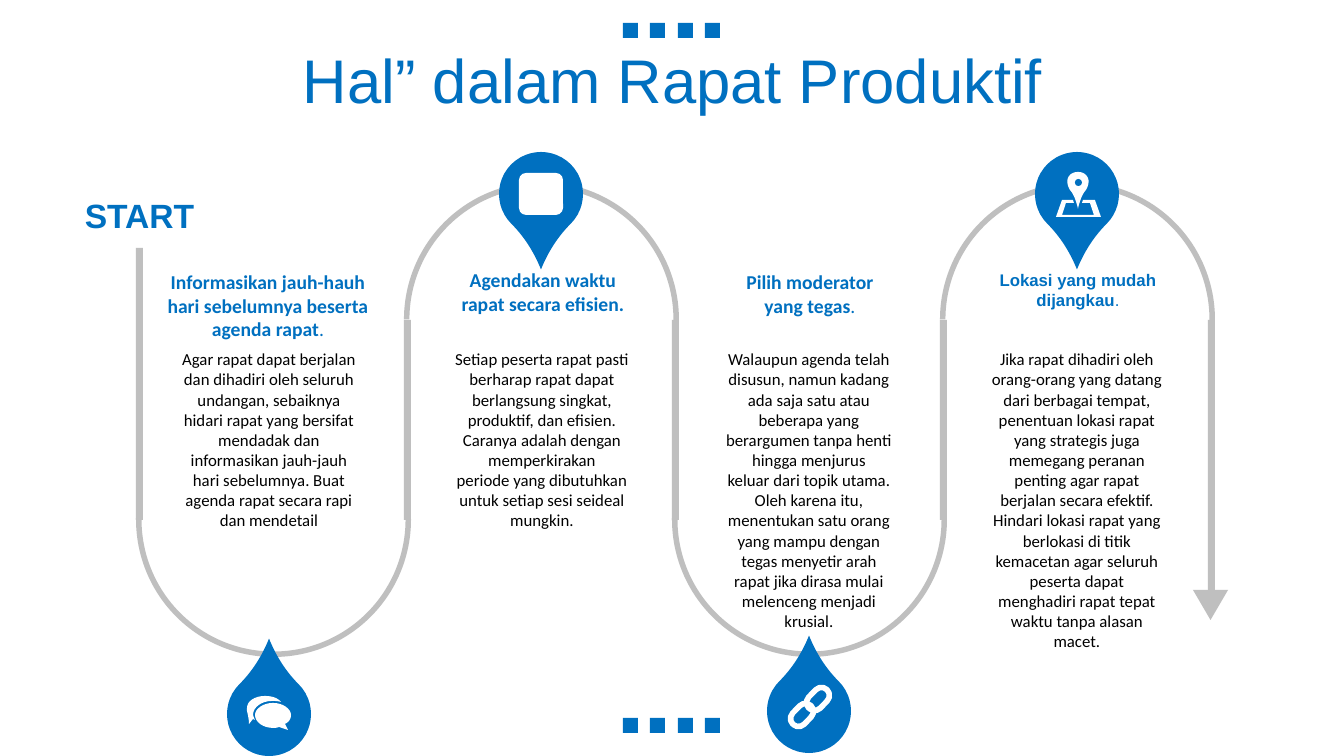
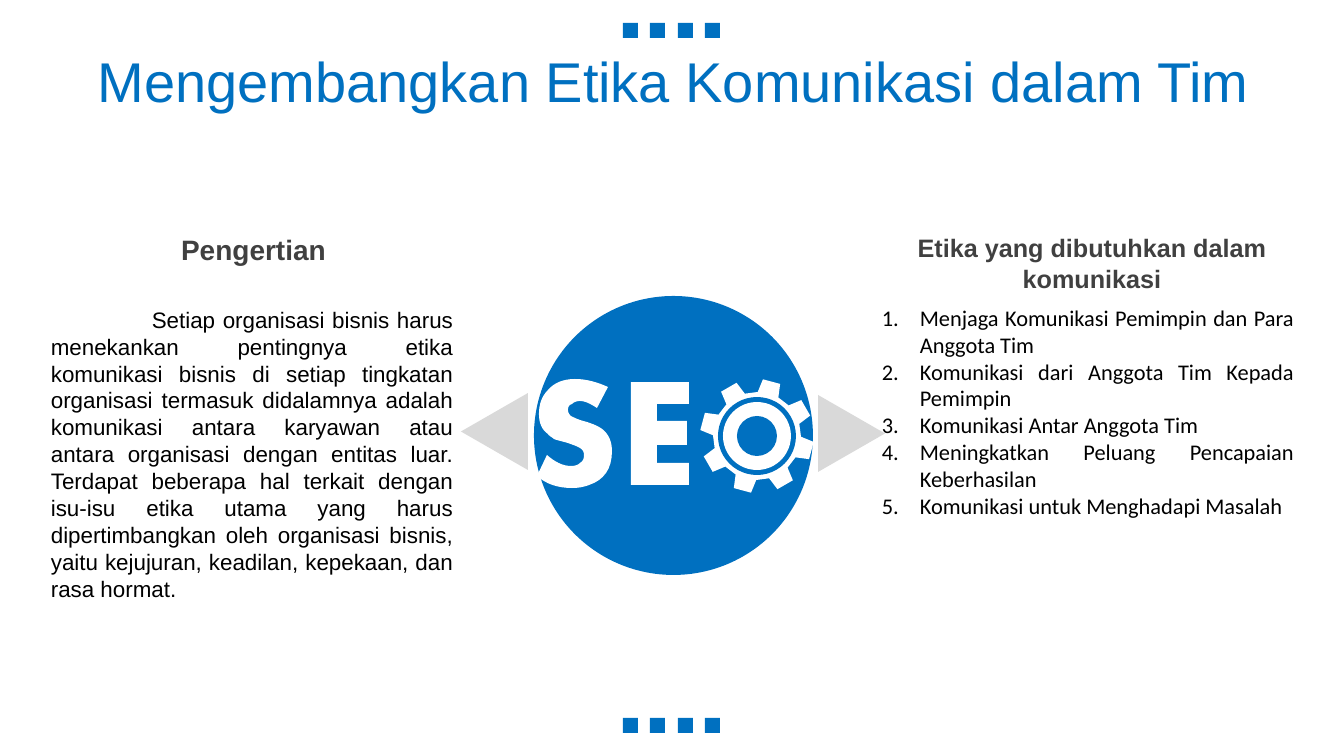
import math
from lxml import etree
from pptx import Presentation, util as u
from pptx.dml.color import RGBColor
from pptx.enum import shapes, text as t
from pptx.oxml.ns import qn

PX = u.Inches(1) / 100.8
BLUE = RGBColor(0x00, 0x70, 0xC0)
GREY = RGBColor(0xBF, 0xBF, 0xBF)
PALE = RGBColor(0xD9, 0xD9, 0xD9)
DARK = RGBColor(0x40, 0x40, 0x40)
BLACK = RGBColor(0, 0, 0)
WHITE = RGBColor(255, 255, 255)
G = shapes.MSO_SHAPE
CENTER, JUSTIFY = t.PP_ALIGN.CENTER, t.PP_ALIGN.JUSTIFY
TOP, MIDDLE = t.MSO_ANCHOR.TOP, t.MSO_ANCHOR.MIDDLE


def shape(s, kind, color, box=None, rot=0, adj=(), outline=()):
    if outline:
        points = [outline[0]]
        for seg in outline[1:]:
            if len(seg) == 2:
                points.append(seg)
                continue
            x0, y0 = points[-1]
            x1, y1, x2, y2, x3, y3 = seg
            for k in range(1, 9):
                b = k / 8
                a = 1 - b
                points.append((
                    a**3 * x0 + 3 * a * a * b * x1 + 3 * a * b * b * x2 + b**3 * x3,
                    a**3 * y0 + 3 * a * a * b * y1 + 3 * a * b * b * y2 + b**3 * y3))
        points = [(round(x * PX), round(y * PX)) for x, y in points]
        fb = s.shapes.build_freeform(*points[0])
        fb.add_line_segments(points[1:], close=True)
        sp = fb.convert_to_shape()
    else:
        sp = s.shapes.add_shape(kind, *(round(v * PX) for v in box))
    sp.shadow.inherit = False
    sp.fill.solid()
    sp.fill.fore_color.rgb = color
    sp.line.fill.background()
    sp.rotation = rot
    for k, value in enumerate(adj):
        sp.adjustments[k] = value
    return sp


def text(s, box, paragraphs, size, color=BLACK, font="Calibri", bold=False, tail="",
         align=CENTER, anchor=TOP, spacing=None, before=None, margin=0, indent=0,
         numbered=False):
    tf = s.shapes.add_textbox(*(round(v * PX) for v in box)).text_frame
    tf.word_wrap = True
    tf.vertical_anchor = anchor
    for k, words in enumerate(paragraphs):
        p = tf.add_paragraph() if k else tf.paragraphs[0]
        p.alignment = align
        if spacing:
            p.line_spacing = spacing
        if before:
            p.space_before = u.Pt(before)
        pPr = p._p.get_or_add_pPr()
        pPr.set("marL", str(round(margin * PX)))
        pPr.set("indent", str(round(indent * PX)))
        if numbered:
            etree.SubElement(pPr, qn("a:buAutoNum"), type="arabicPeriod")
        for part, weight in ((words, bold), (tail, False)):
            if part:
                r = p.add_run()
                r.text = part
                r.font.size = u.Pt(size)
                r.font.name = font
                r.font.bold = weight
                r.font.color.rgb = color


prs = Presentation()
prs.slide_width, prs.slide_height = round(1344 * PX), round(756 * PX)

slides = []
for title, size in (("Hal” dalam Rapat Produktif", 44),
                    ("Mengembangkan Etika Komunikasi dalam Tim", 40)):
    s = prs.slides.add_slide(prs.slide_layouts[6])
    for y in (23, 718):
        for k in range(4):
            shape(s, G.RECTANGLE, BLUE, (623 + k * 55 // 2, y, 15, 15))
    text(s, (35, 44, 1276, 80), [title], size, BLUE, "Arial",
         anchor=MIDDLE, spacing=0.9, before=10)
    slides.append(s)
meeting, ethics = slides

ROAD_X, STEP, ROAD_W = 136, 268, 7
for k in range(5):
    top = 320 if k else 248
    bottom = 592 if k == 4 else 520
    shape(meeting, G.RECTANGLE, GREY, (ROAD_X + k * STEP, top, ROAD_W, bottom - top))
for k in range(4):
    up = k % 2
    shape(meeting, G.BLOCK_ARC, GREY,
          (ROAD_X + k * STEP, 182 if up else 382, STEP + ROAD_W, STEP + ROAD_W),
          rot=0 if up else 180, adj=(108, 0.36, 0.02))
for x, y, rot in ((227, 672, 315), (499, 152, 135), (767, 669, 315), (1035, 152, 135)):
    shape(meeting, G.TEAR, BLUE, (x, y, 84, 84), rot, (1.27,))
shape(meeting, G.ISOSCELES_TRIANGLE, GREY, (1193, 590, 35, 30), 180)
text(meeting, (65, 193, 149, 44), ["START"], 24, BLUE, "Arial", True, anchor=MIDDLE)

steps = (
    ((152, 265, 232, 82), 14, "Calibri",
     "Informasikan jauh-hauh hari sebelumnya beserta agenda rapat", ".", 172,
     "Agar rapat dapat berjalan dan dihadiri oleh seluruh undangan, sebaiknya hidari "
     "rapat yang bersifat mendadak dan informasikan jauh-jauh hari sebelumnya. Buat "
     "agenda rapat secara rapi dan mendetail"),
    ((446, 263, 194, 57), 14, "Calibri", "Agendakan waktu rapat secara efisien.", "", 445,
     "Setiap peserta rapat pasti berharap rapat dapat berlangsung singkat, produktif, "
     "dan efisien. Caranya adalah dengan memperkirakan periode\u00a0yang dibutuhkan "
     "untuk setiap sesi seideal mungkin."),
    ((713, 265, 194, 57), 14, "Calibri", "Pilih moderator yang\u00a0tegas", ".", 712,
     "Walaupun agenda telah disusun, namun kadang ada saja\u00a0satu atau "
     "beberapa\u00a0yang berargumen tanpa henti hingga menjurus "
     "keluar\u00a0dari\u00a0topik utama. Oleh karena itu, menentukan satu orang yang "
     "mampu dengan tegas menyetir arah rapat jika dirasa mulai melenceng menjadi krusial."),
    ((981, 265, 194, 50), 12, "Arial", "Lokasi yang mudah dijangkau", ".", 980,
     "Jika rapat dihadiri oleh orang-orang yang datang dari berbagai tempat, penentuan "
     "lokasi rapat yang strategis juga memegang peranan penting agar rapat berjalan "
     "secara efektif. Hindari lokasi rapat yang berlokasi di titik kemacetan agar "
     "seluruh peserta dapat menghadiri rapat tepat waktu tanpa alasan macet."),
)
for box, size, font, heading, tail, x, body in steps:
    text(meeting, box, [heading], size, BLUE, font, True, tail)
    text(meeting, (x, 344, 194, 300), [body], 12)

front_bubble = [
    (273, 703), (283, 703, 291, 709, 291, 715), (291, 719, 289, 722, 285, 724),
    (288, 730), (279, 727), (277, 728, 275, 728, 273, 728),
    (263, 728, 255, 722, 255, 715), (255, 709, 263, 703, 273, 703)]
back_bubble = [
    (265, 696), (272, 696, 278, 698, 281, 702), (278, 701, 275, 701, 272, 701),
    (262, 701, 253, 707, 253, 715), (254, 718), (255, 720), (253, 719), (249, 724),
    (249, 720, 248, 715, 247, 711), (247, 708), (247, 701, 255, 696, 265, 696)]
map_sheet = [
    (1062, 200), (1073, 200), (1074, 203), (1066, 203), (1062, 215), (1094, 215),
    (1090, 203), (1082, 203), (1083, 200), (1095, 200), (1101, 217), (1056, 217)]
map_pin = [
    (1078, 172), (1081, 172, 1084, 173, 1086, 175), (1090, 179, 1089, 185, 1086, 190),
    (1081, 195, 1078, 208, 1078, 209), (1078, 208, 1075, 195, 1070, 190),
    (1067, 185, 1066, 179, 1070, 175), (1072, 173, 1075, 172, 1078, 172)]
for outline in (front_bubble, back_bubble, map_sheet, map_pin):
    shape(meeting, None, WHITE, outline=outline)
shape(meeting, G.OVAL, BLUE, (1075, 179, 7, 7))
shape(meeting, G.ROUNDED_RECTANGLE, WHITE, (519, 173, 44, 42))
for shift in (-8, 8):
    link = shape(meeting, G.ROUNDED_RECTANGLE, WHITE,
                 (802 + shift, 694 - shift, 16, 26), 44, (0.5,))
    link.fill.background()
    link.line.color.rgb = WHITE
    link.line.width = u.Pt(4)

shape(ethics, G.OVAL, BLUE, (534, 296, 279, 279))
shape(ethics, G.ISOSCELES_TRIANGLE, PALE, (813, 400, 77, 67), 90)
shape(ethics, G.ISOSCELES_TRIANGLE, PALE, (456, 398, 77, 67), 270)
text(ethics, (71, 227, 365, 44), ["Pengertian"], 20, DARK, "Arial", True, anchor=MIDDLE)
text(ethics, (41, 301, 422, 308), [
    "Setiap organisasi bisnis harus menekankan pentingnya etika komunikasi bisnis di "
    "setiap tingkatan organisasi termasuk didalamnya adalah komunikasi antara karyawan "
    "atau antara organisasi dengan entitas luar. Terdapat beberapa hal terkait dengan "
    "isu-isu etika utama yang harus dipertimbangkan oleh organisasi bisnis, yaitu "
    "kejujuran, keadilan, kepekaan, dan rasa hormat."],
    16, font="Arial", align=JUSTIFY, indent=101)
text(ethics, (879, 227, 426, 72), ["Etika yang dibutuhkan dalam komunikasi"],
     18, DARK, "Arial", True, anchor=MIDDLE)
text(ethics, (872, 299, 432, 227), [
    "Menjaga Komunikasi Pemimpin dan Para Anggota Tim",
    "Komunikasi dari Anggota Tim Kepada Pemimpin",
    "Komunikasi Antar Anggota Tim",
    "Meningkatkan Peluang Pencapaian Keberhasilan",
    "Komunikasi untuk Menghadapi Masalah"],
    16, align=JUSTIFY, margin=38, indent=-38, numbered=True)

letter_s = [
    (575, 379), (586, 379, 597, 382, 608, 387), (597, 408),
    (591, 404, 585, 401, 580, 401), (577, 401, 574, 402, 572, 404),
    (569, 405, 568, 407, 568, 410), (568, 413, 570, 416, 573, 417),
    (575, 418, 579, 420, 587, 422), (596, 425, 603, 428, 607, 434),
    (610, 438, 612, 444, 612, 451), (612, 469, 604, 480, 589, 485),
    (584, 487, 578, 488, 572, 488), (558, 488, 546, 484, 537, 476), (547, 455),
    (555, 462, 563, 466, 571, 466), (575, 466, 578, 465, 580, 463),
    (583, 461, 584, 459, 584, 455), (584, 452, 583, 450, 580, 448),
    (577, 446, 573, 445, 568, 443), (561, 441, 556, 440, 554, 439),
    (552, 437, 549, 436, 548, 434), (542, 430, 539, 423, 539, 414),
    (539, 404, 542, 396, 548, 390), (554, 383, 563, 379, 575, 379)]
letter_e = [
    (631, 382), (689, 382), (689, 404), (657, 404), (657, 421), (687, 421),
    (687, 445), (657, 445), (657, 463), (689, 463), (689, 485), (631, 485)]
GEAR_X, GEAR_Y = 757, 436
gear = []
for tooth in range(8):
    for turn, radius in ((-14, 44), (-9, 57), (9, 57), (14, 44)):
        angle = math.radians(15 + tooth * 45 + turn)
        gear.append((GEAR_X + radius * math.sin(angle), GEAR_Y - radius * math.cos(angle)))
for outline in (letter_s, letter_e, gear):
    shape(ethics, None, WHITE, outline=outline)
for radius, color in ((39, BLUE), (34, WHITE), (20, BLUE)):
    shape(ethics, G.OVAL, color, (GEAR_X - radius, GEAR_Y - radius, 2 * radius, 2 * radius))

prs.save("out.pptx")
